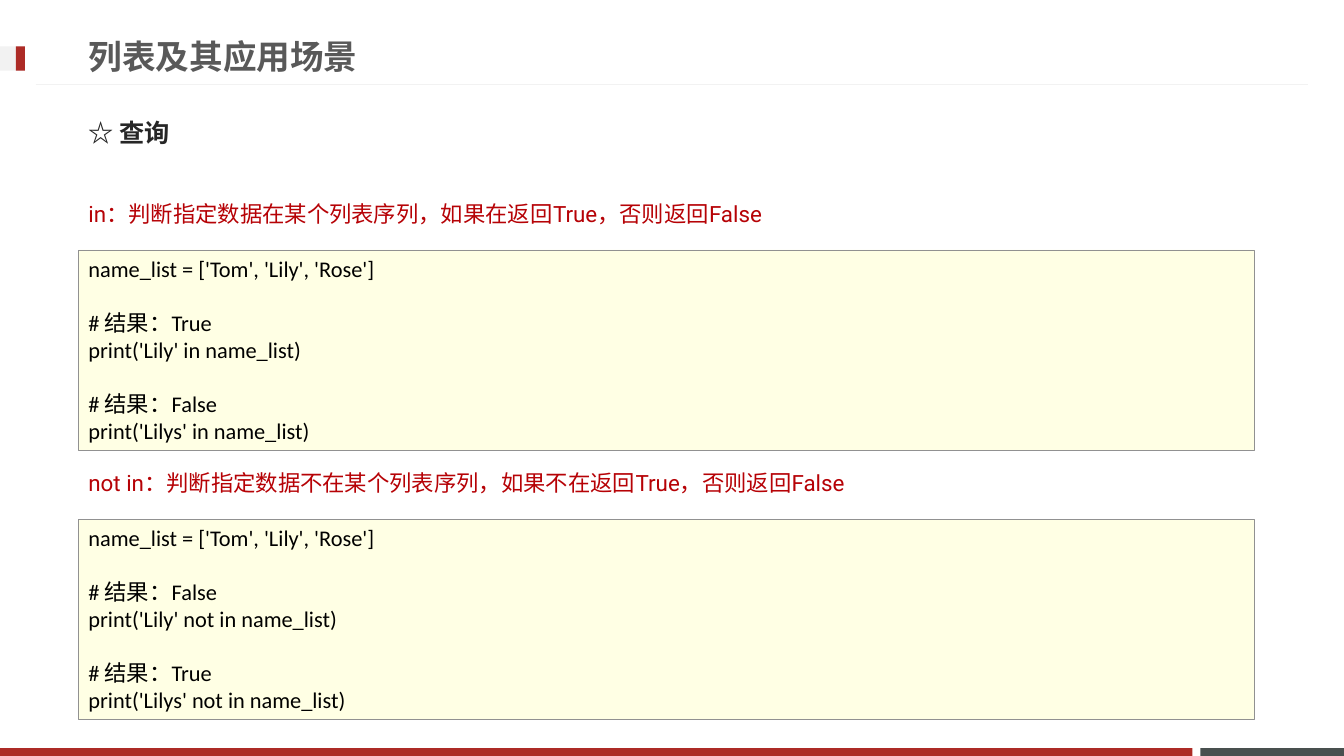
from lxml import etree
from pptx import Presentation
from pptx.dml.color import RGBColor
from pptx.enum.shapes import MSO_CONNECTOR as Connector, MSO_SHAPE as Shape
from pptx.enum.text import MSO_ANCHOR as Anchor, PP_ALIGN as Align
from pptx.oxml.ns import qn
from pptx.util import Cm, Pt

RED = RGBColor(0xAD, 0x2B, 0x26)
TEXT_RED = RGBColor(0xB6, 0x02, 0x06)
SLATE = RGBColor(0x49, 0x50, 0x4F)
PALE = RGBColor(0xF2, 0xF2, 0xF2)
CREAM = RGBColor(0xFF, 0xFF, 0xE4)
BORDER = RGBColor(0x91, 0x91, 0x91)
TITLE_GRAY = RGBColor(0x59, 0x59, 0x59)
DARK = RGBColor(0x26, 0x26, 0x26)
BLACK = RGBColor(0, 0, 0)
CJK_FONT = "Noto Sans CJK JP"

# Content
TITLE = "列表及其应用场景"
SUBTITLE = "☆ 查询"
NAMES = "name_list = ['Tom', 'Lily', 'Rose']"
SECTIONS = [
    ("in：判断指定数据在某个列表序列，如果在返回True，否则返回False",
     [NAMES, "# 结果：True", "print('Lily' in name_list)",
      "# 结果：False", "print('Lilys' in name_list)"]),
    ("not in：判断指定数据不在某个列表序列，如果不在返回True，否则返回False",
     [NAMES, "# 结果：False", "print('Lily' not in name_list)",
      "# 结果：True", "print('Lilys' not in name_list)"]),
]
BARS = [  # left, top, width, height, colour
    (30.25, 18.85, 3.62, 0.2, SLATE),
    (0, 18.85, 30.05, 0.2, RED),
    (0, 1.17, 0.63, 0.61, PALE),
    (0.4, 1.17, 0.23, 0.61, RED),
]

# Layout in centimetres
LEFT, TEXT_WIDTH, CODE_WIDTH = 1.98, 29.87, 29.64
HEADING_TOP, HEADING_HEIGHT = 4.62, 1.52
CODE_TOP, CODE_HEIGHT = 6.3, 5.05
SECTION_PITCH = 6.78

presentation = Presentation()
presentation.slide_width, presentation.slide_height = Cm(33.87), Cm(19.05)
slide = presentation.slides.add_slide(presentation.slide_layouts[5])


def add_rectangle(left, top, width, height, fill):
    shape = slide.shapes.add_shape(
        Shape.RECTANGLE, Cm(left), Cm(top), Cm(width), Cm(height))
    shape.shadow.inherit = False
    shape.fill.solid()
    shape.fill.fore_color.rgb = fill
    shape.line.fill.background()
    return shape


def write(shape, text, font, size, colour, bold=False, anchor=Anchor.MIDDLE):
    frame = shape.text_frame
    frame.text = text
    frame.word_wrap = True
    frame.vertical_anchor = anchor
    for paragraph in frame.paragraphs:
        paragraph.alignment = Align.LEFT
        for run in paragraph.runs:
            run.font.name, run.font.size = font, Pt(size)
            run.font.bold = bold
            run.font.color.rgb = colour
            east_asian = etree.Element(qn("a:ea"), typeface=CJK_FONT)
            run.font._element.find(qn("a:latin")).addnext(east_asian)


def add_text(top, height, *style):
    box = slide.shapes.add_textbox(
        Cm(LEFT), Cm(top), Cm(TEXT_WIDTH), Cm(height))
    write(box, *style)


# Bars and the rule under the title
for bar in BARS:
    add_rectangle(*bar)
rule = slide.shapes.add_connector(
    Connector.STRAIGHT, Cm(0.9), Cm(2.13), Cm(32.97), Cm(2.13))
rule.line.color.rgb = PALE
rule.line.width = Pt(0.75)
etree.SubElement(rule._element.spPr, qn("a:effectLst"))

# Title and subtitle
title = slide.shapes.title
title.left, title.top, title.width, title.height = (
    Cm(LEFT), Cm(0.69), Cm(24.36), Cm(1.45))
write(title, TITLE, "Lato", 24, TITLE_GRAY, True)
add_text(2.62, 1.45, SUBTITLE, CJK_FONT, 18, DARK, True)

# Explanations, each with its code box
for index, (heading, code) in enumerate(SECTIONS):
    offset = index * SECTION_PITCH
    add_text(HEADING_TOP + offset, HEADING_HEIGHT,
             heading, "Roboto", 16, TEXT_RED)
    box = add_rectangle(LEFT, CODE_TOP + offset, CODE_WIDTH, CODE_HEIGHT, CREAM)
    box.line.color.rgb = BORDER
    box.line.width = Pt(0.25)
    write(box, "\n".join(code), "Calibri", 16, BLACK, anchor=Anchor.TOP)
    for paragraph in box.text_frame.paragraphs:
        if paragraph.text.startswith("#"):
            paragraph.space_before = Pt(19.5)

presentation.save("out.pptx")
